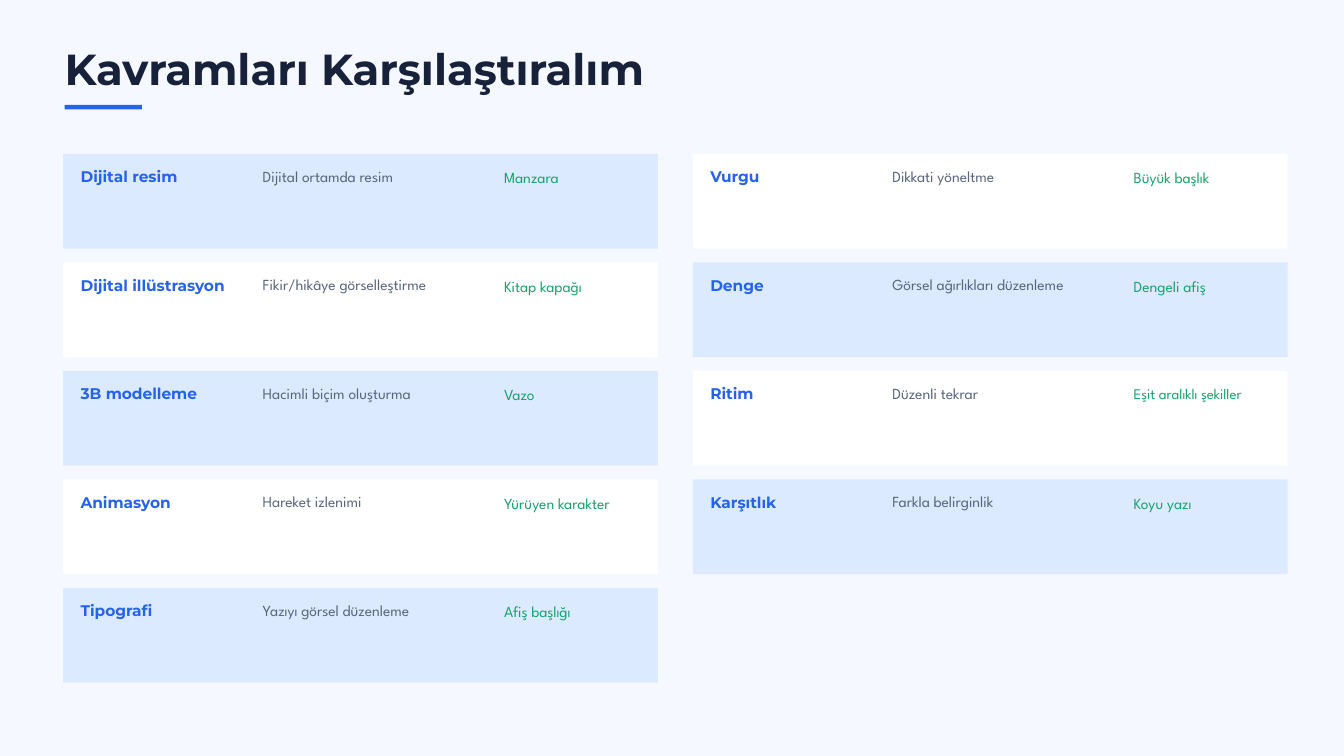
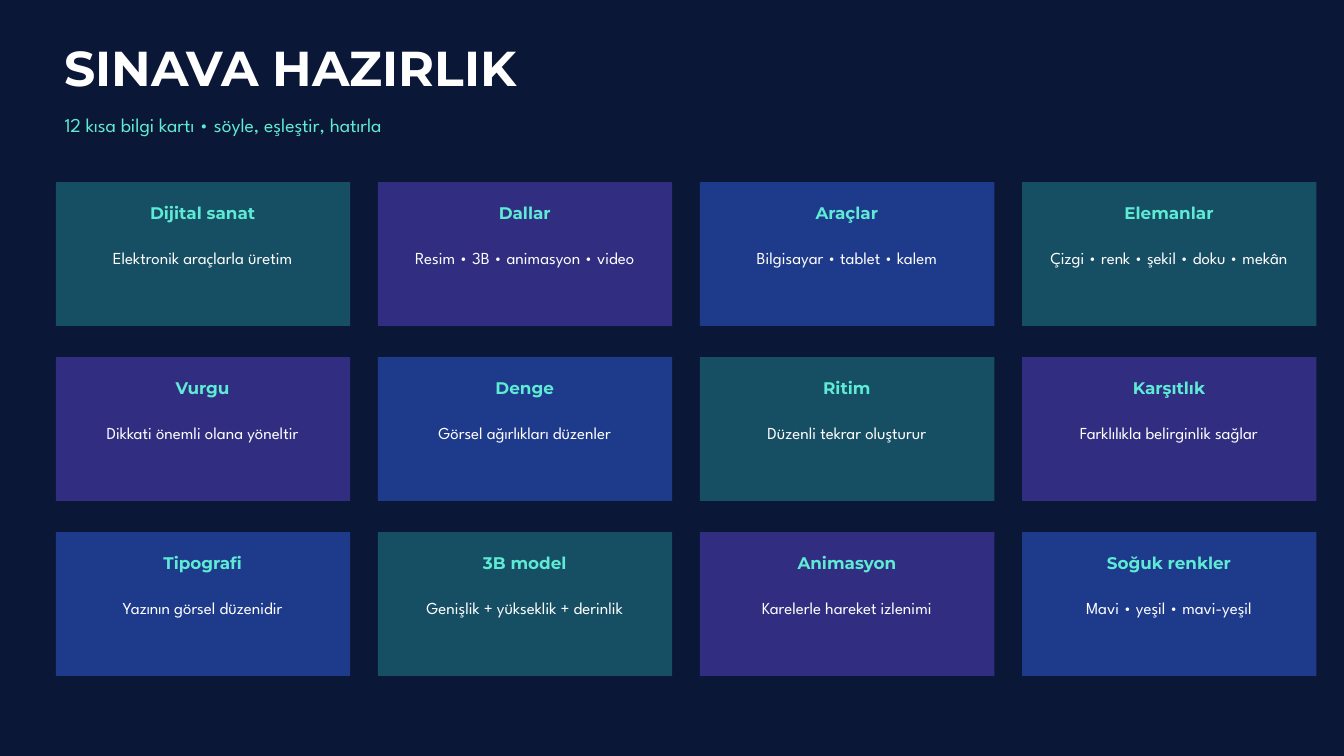
"""Build two slides: a comparison of art concepts and a set of exam cards."""
import pptx
import pptx.util
import pptx.dml.color
import pptx.enum.shapes
import pptx.enum.text

Inches, Pt = pptx.util.Inches, pptx.util.Pt
ALIGN = pptx.enum.text.PP_ALIGN

HEAD, BODY = "Montserrat", "League Spartan"
COLORS = {
    "paper": "F5F8FF", "night": "0B1736", "ink": "17213A", "white": "FFFFFF",
    "blue": "2563EB", "sky": "DBEAFE", "gray": "58657D", "green": "16A36A",
    "mint": "5EEAD4", "teal": "164E63", "purple": "312E81", "navy": "1E3A8A",
}

TERMS = [
    [
        ("Dijital resim", "Dijital ortamda resim", "Manzara"),
        ("Dijital illüstrasyon", "Fikir/hikâye görselleştirme", "Kitap kapağı"),
        ("3B modelleme", "Hacimli biçim oluşturma", "Vazo"),
        ("Animasyon", "Hareket izlenimi", "Yürüyen karakter"),
        ("Tipografi", "Yazıyı görsel düzenleme", "Afiş başlığı"),
    ],
    [
        ("Vurgu", "Dikkati yöneltme", "Büyük başlık"),
        ("Denge", "Görsel ağırlıkları düzenleme", "Dengeli afiş"),
        ("Ritim", "Düzenli tekrar", "Eşit aralıklı şekiller"),
        ("Karşıtlık", "Farkla belirginlik", "Koyu yazı"),
    ],
]
CARDS = [
    [
        ("Dijital sanat", "Elektronik araçlarla üretim"),
        ("Dallar", "Resim • 3B • animasyon • video"),
        ("Araçlar", "Bilgisayar • tablet • kalem"),
        ("Elemanlar", "Çizgi • renk • şekil • doku • mekân"),
    ],
    [
        ("Vurgu", "Dikkati önemli olana yöneltir"),
        ("Denge", "Görsel ağırlıkları düzenler"),
        ("Ritim", "Düzenli tekrar oluşturur"),
        ("Karşıtlık", "Farklılıkla belirginlik sağlar"),
    ],
    [
        ("Tipografi", "Yazının görsel düzenidir"),
        ("3B model", "Genişlik + yükseklik + derinlik"),
        ("Animasyon", "Karelerle hareket izlenimi"),
        ("Soğuk renkler", "Mavi • yeşil • mavi-yeşil"),
    ],
]


def rgb(name):
    return pptx.dml.color.RGBColor.from_string(COLORS[name])


def add_slide(deck, back):
    slide = deck.slides.add_slide(deck.slide_layouts[6])
    slide.background.fill.solid()
    slide.background.fill.fore_color.rgb = rgb(back)
    return slide


def block(slide, x, y, wide, high, color):
    kind = pptx.enum.shapes.MSO_SHAPE.RECTANGLE
    shape = slide.shapes.add_shape(
        kind, Inches(x), Inches(y), Inches(wide), Inches(high))
    shape.fill.solid()
    shape.fill.fore_color.rgb = rgb(color)
    shape.line.fill.background()
    shape.shadow.inherit = False


def label(slide, words, x, y, wide, high, size, lead, color,
          face=BODY, align=ALIGN.LEFT):
    box = slide.shapes.add_textbox(
        Inches(x), Inches(y), Inches(wide), Inches(high))
    frame = box.text_frame
    frame.margin_left = frame.margin_right = 0
    frame.margin_top = frame.margin_bottom = 0
    frame.word_wrap = True
    frame.auto_size = pptx.enum.text.MSO_AUTO_SIZE.SHAPE_TO_FIT_TEXT
    line = frame.paragraphs[0]
    line.text = words
    line.alignment = align
    line.line_spacing = Pt(lead)
    font = line.font
    font.name, font.size, font.bold = face, Pt(size), face == HEAD
    font.color.rgb = rgb(color)


def title(slide, words, y, wide, high, size, lead, color):
    label(slide, words, 0.96, y, wide, high, size, lead, color, HEAD)


def compare(deck):
    slide = add_slide(deck, "paper")
    title(slide, "Kavramları Karşılaştıralım", 0.73, 15.62, 0.69,
          46.5, 48.8, "ink")
    block(slide, 0.96, 1.56, 1.15, 0.07, "blue")
    step = (8.75 - 2.29) / 4
    for col, terms in enumerate(TERMS):
        x = 0.94 + 9.37 * col
        for row, (term, sense, sample) in enumerate(terms):
            y = 2.29 + step * row
            fill = ("sky", "white")[(row + col) % 2]
            block(slide, x, y, 8.85, 1.41, fill)
            label(slide, term, x + 0.26, y + 0.22, 2.6, 0.26,
                  16.5, 18.1, "blue", HEAD)
            label(slide, sense, x + 2.97, y + 0.18, 3.44, 0.28,
                  16.5, 20.6, "gray")
            size, lead = (15.8, 19.7) if len(sample) > 20 else (16.5, 20.6)
            label(slide, sample, x + 6.56, y + 0.2, 1.98, 0.28,
                  size, lead, "green")


def review(deck):
    slide = add_slide(deck, "night")
    title(slide, "SINAVA HAZIRLIK", 0.67, 14.58, 0.77, 52.5, 54.6, "white")
    label(slide, "12 kısa bilgi kartı • söyle, eşleştir, hatırla",
          0.96, 1.65, 14.58, 0.37, 21, 27.3, "mint")
    across, down = (15.21 - 0.83) / 3, (7.92 - 2.71) / 2
    for row, cards in enumerate(CARDS):
        y = 2.71 + down * row
        for col, (name, fact) in enumerate(cards):
            x = 0.83 + across * col
            fill = ("teal", "purple", "navy")[(row + col) % 3]
            block(slide, x, y, 4.38, 2.14, fill)
            label(slide, name, x + 0.26, y + 0.33, 3.85, 0.28,
                  18, 19.8, "mint", HEAD, ALIGN.CENTER)
            label(slide, fact, x + 0.26, y + 0.96, 3.85, 0.3,
                  18, 22.5, "white", BODY, ALIGN.CENTER)


def main():
    deck = pptx.Presentation()
    deck.slide_width, deck.slide_height = Inches(20), Inches(11.25)
    compare(deck)
    review(deck)
    deck.save("out.pptx")


if __name__ == "__main__":
    main()
